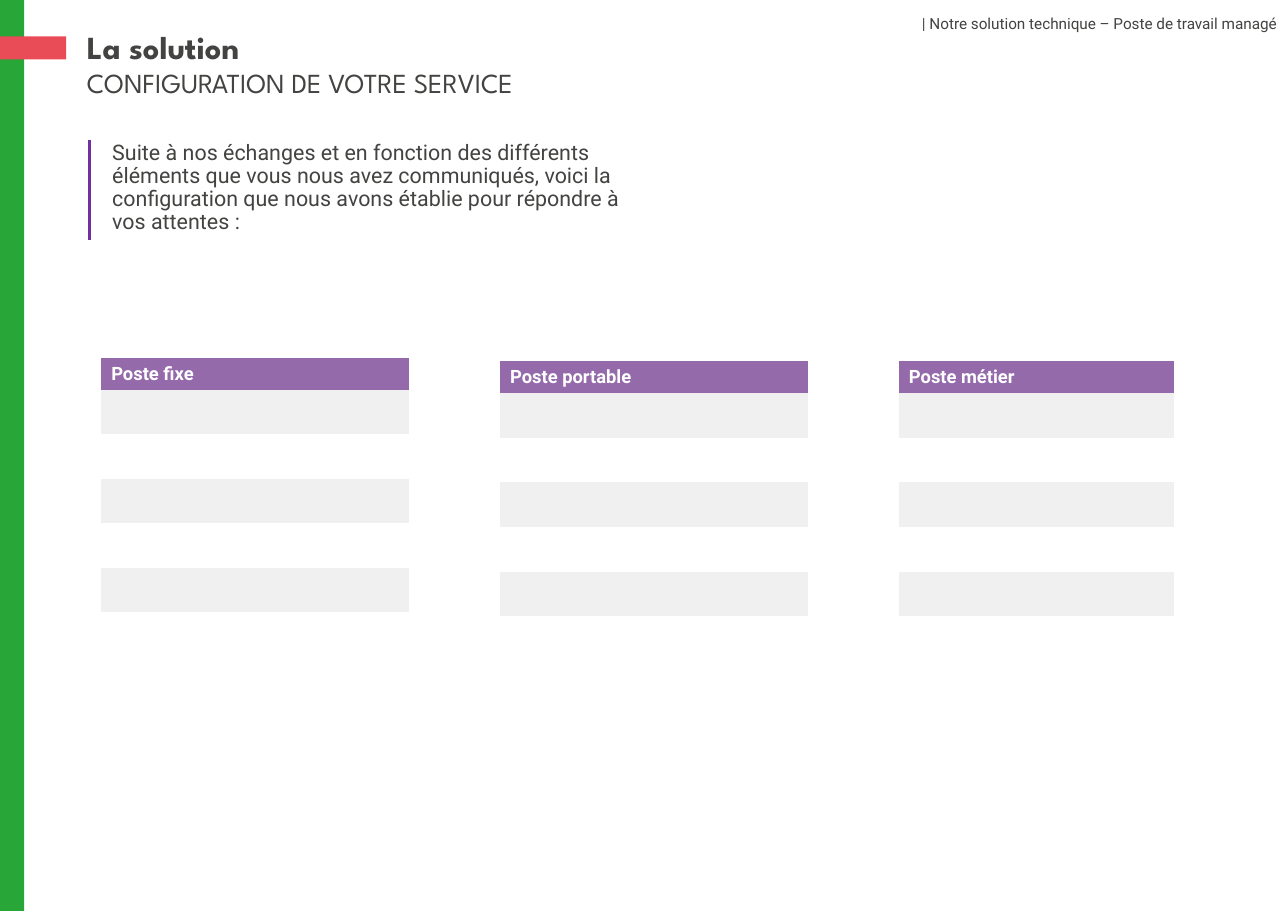
from dataclasses import dataclass

from lxml import etree
from pptx import Presentation
from pptx import util as u
from pptx.dml import color
from pptx.enum import shapes, text
from pptx.oxml import ns


@dataclass(frozen=True)
class Theme:
    title_font: str = "League Spartan"
    body_font: str = "Roboto"
    ink: str = "434341"
    white: str = "FFFFFF"
    green: str = "29A638"
    red: str = "E94B57"
    purple: str = "7030A0"
    header: str = "946AAB"
    band: str = "F0F0F0"
    title_size: int = 21
    subtitle_size: int = 18
    body_size: int = 14
    table_size: int = 12
    note_size: int = 10


THEME = Theme()
NO_GRID_STYLE = "{2D5ABB26-0587-4C30-8999-92F81FD0307C}"


def rgb(value):
    return color.RGBColor.from_string(value)


def inches(*lengths):
    return [u.Inches(length) for length in lengths]


def write(paragraph, words, font_name, size, ink=THEME.ink, bold=False):
    paragraph.text = words
    for run in paragraph.runs:
        run.font.name = font_name
        run.font.size = u.Pt(size)
        run.font.bold = bold
        run.font.color.rgb = rgb(ink)


def add_text_frame(slide, box, wrap=True):
    text_frame = slide.shapes.add_textbox(*inches(*box)).text_frame
    text_frame.word_wrap = wrap
    return text_frame


def add_bar(slide, box, fill):
    bar = slide.shapes.add_shape(shapes.MSO_SHAPE.RECTANGLE, *inches(*box))
    bar.shadow.inherit = False
    bar.fill.solid()
    bar.fill.fore_color.rgb = rgb(fill)
    bar.line.fill.background()


def add_side_band(slide, box):
    left, top, width, height = box
    add_bar(slide, (left, top, 0.22, height), THEME.green)
    add_bar(slide, (left, top + 0.33, width, 0.21), THEME.red)


def add_title(slide, box, title, subtitle):
    text_frame = add_text_frame(slide, box)
    write(text_frame.paragraphs[0], title, THEME.title_font, THEME.title_size, bold=True)
    write(text_frame.add_paragraph(), subtitle, THEME.title_font, THEME.subtitle_size)


def add_section_note(slide, box, words):
    text_frame = add_text_frame(slide, box, wrap=False)
    text_frame.auto_size = text.MSO_AUTO_SIZE.SHAPE_TO_FIT_TEXT
    write(text_frame.paragraphs[0], words, THEME.body_font, THEME.note_size)


def add_introduction(slide, box, words):
    left, top, width, height = box
    text_frame = add_text_frame(slide, (left + 0.11, top - 0.03, width - 0.11, 0.67))
    paragraph = text_frame.paragraphs[0]
    paragraph.line_spacing = 0.9
    write(paragraph, words, THEME.body_font, THEME.body_size)
    rule = slide.shapes.add_connector(
        shapes.MSO_CONNECTOR.STRAIGHT, *inches(left, top, left, top + height)
    )
    rule.line.color.rgb = rgb(THEME.purple)
    rule.line.width = u.Pt(2)
    etree.SubElement(rule._element.spPr, ns.qn("a:effectLst"))


def add_workstation_table(slide, box, heading, row_count):
    header_height = 0.29
    row_height = (box[3] - header_height) / row_count
    frame = slide.shapes.add_table(row_count + 1, 1, *inches(*box))
    for style in frame._element.iter(ns.qn("a:tableStyleId")):
        style.text = NO_GRID_STYLE
    table = frame.table
    table.first_row = False
    table.horz_banding = False
    for index, row in enumerate(table.rows):
        row.height = u.Inches(row_height if index else header_height)
        fill = THEME.band if index in (1, 3, 5) else THEME.white
        cell = row.cells[0]
        cell.fill.solid()
        cell.fill.fore_color.rgb = rgb(fill if index else THEME.header)
    header = table.cell(0, 0)
    header.vertical_anchor = text.MSO_ANCHOR.MIDDLE
    header.margin_left = header.margin_right = u.Inches(0.09)
    header.margin_top = header.margin_bottom = u.Inches(0.04)
    write(
        header.text_frame.paragraphs[0], heading,
        THEME.body_font, THEME.table_size, THEME.white, bold=True,
    )


def main():
    presentation = Presentation()
    presentation.slide_width, presentation.slide_height = inches(11.69, 8.27)
    slide = presentation.slides.add_slide(presentation.slide_layouts[6])

    add_introduction(
        slide, (0.81, 1.27, 5.1, 0.91),
        "Suite à nos échanges et en fonction des différents éléments que vous nous avez "
        "communiqués, voici la configuration que nous avons établie pour répondre à vos "
        "attentes :",
    )
    workstations = [
        ("Poste fixe", (0.92, 3.25, 2.79, 4.33), 10),
        ("Poste portable", (4.54, 3.28, 2.79, 2.72), 6),
        ("Poste métier", (8.16, 3.28, 2.5, 2.72), 6),
    ]
    for heading, box, row_count in workstations:
        add_workstation_table(slide, box, heading, row_count)
    add_side_band(slide, (0, 0, 0.6, 8.27))
    add_title(slide, (0.69, 0.2, 4.82, 0.87), "La solution", "CONFIGURATION DE VOTRE SERVICE")
    add_section_note(
        slide, (8.27, 0.08, 3.43, 0.27),
        "| Notre solution technique – Poste de travail managé",
    )
    presentation.save("out.pptx")


if __name__ == "__main__":
    main()
